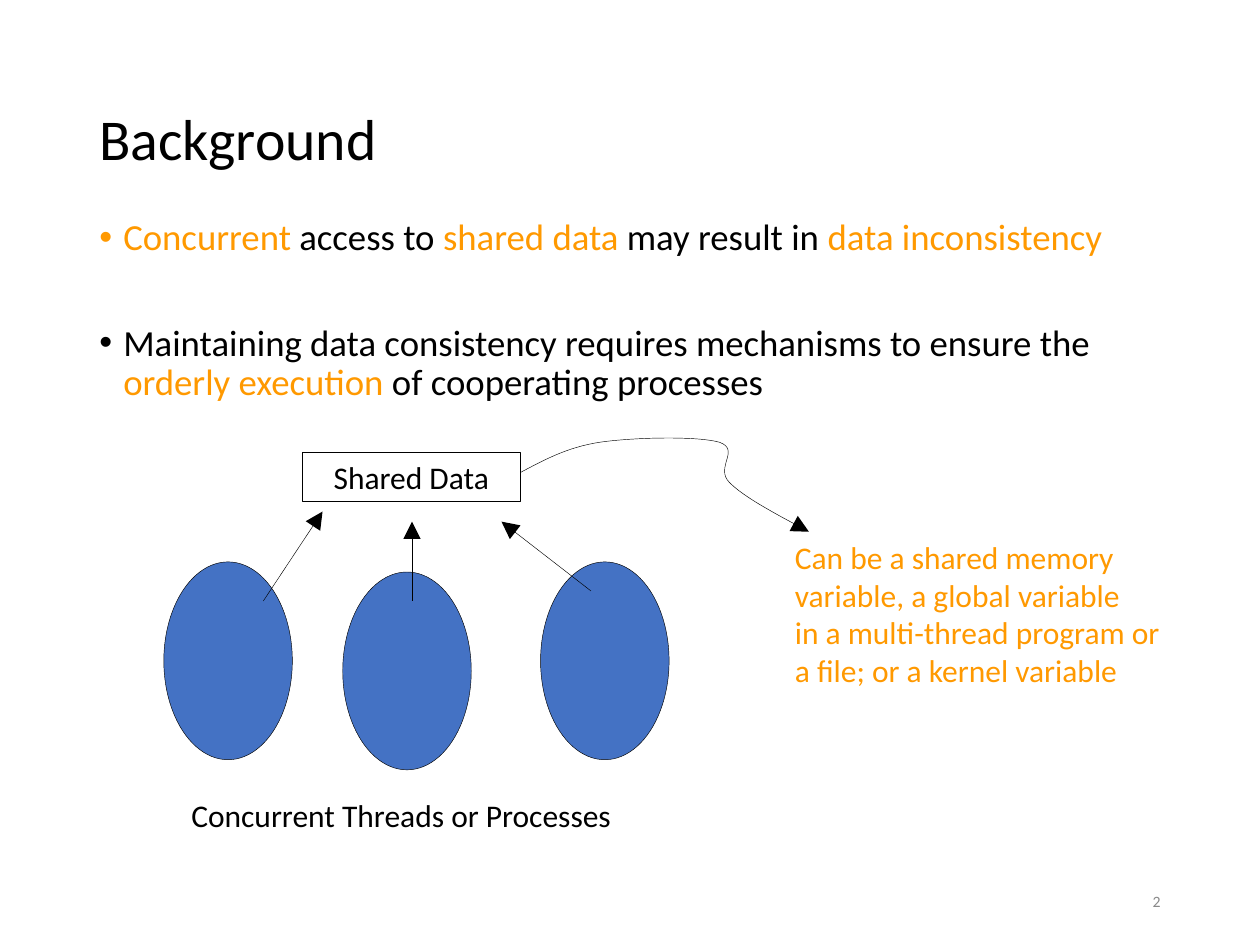
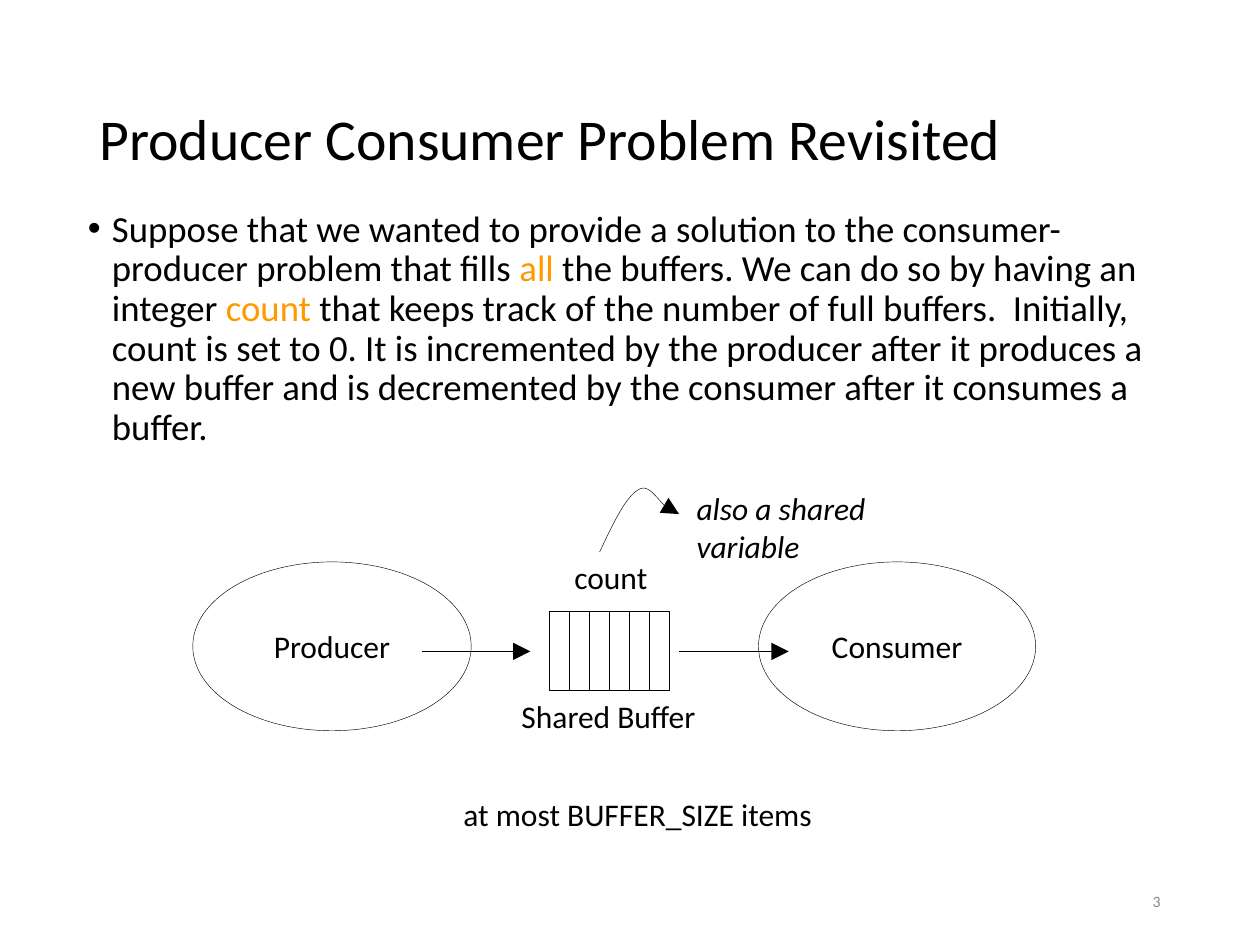
"""Builds two slides on shared data and the producer consumer problem."""
import lxml.etree
import pptx
import pptx.dml.color
import pptx.enum.shapes
import pptx.enum.text
import pptx.oxml.ns
import pptx.util

Inches = pptx.util.Inches
Pt = pptx.util.Pt
RGBColor = pptx.dml.color.RGBColor
Align = pptx.enum.text.PP_ALIGN
Anchor = pptx.enum.text.MSO_ANCHOR
Shape = pptx.enum.shapes.MSO_SHAPE

BLACK = RGBColor(0x00, 0x00, 0x00)
ORANGE = RGBColor(0xFF, 0x99, 0x00)
BLUE = RGBColor(0x44, 0x72, 0xC4)
GRAY = RGBColor(0x89, 0x89, 0x89)

TITLE_BOX = (0.69, 0.4, 8.63, 1.45)
NUMBER_BOX = (7.06, 6.95, 2.25, 0.4)
FIRST_NUMBER = 2
TITLE_FONT = {"size": Pt(33)}
BODY_FONT = {"size": Pt(21)}
LABEL_FONT = {"size": Pt(18)}
NUMBER_FONT = {"size": Pt(9)}
BULLET_SPACING = {"line_spacing": 0.9}
GAP_BETWEEN_BULLETS = Pt(37.5)
CURVE_STEPS = 16

SLIDES = [
    {
        "title": "Background",
        "body_box": (0.69, 1.69, 8.63, 4.76),
        "bullets": [
            [("Concurrent", ORANGE), (" access to ", BLACK), ("shared data", ORANGE),
             (" may result in ", BLACK), ("data inconsistency", ORANGE)],
            [("Maintaining data consistency requires mechanisms to ensure the ", BLACK),
             ("orderly execution", ORANGE), (" of cooperating processes", BLACK)],
        ],
        "shapes": [
            (Shape.OVAL, (1.3, 4.46, 1.02, 1.57), BLUE, ""),
            (Shape.OVAL, (2.72, 4.54, 1.02, 1.57), BLUE, ""),
            (Shape.OVAL, (4.29, 4.46, 1.02, 1.57), BLUE, ""),
            (Shape.RECTANGLE, (2.4, 3.59, 1.73, 0.39), None, "Shared Data"),
        ],
        "arrows": [(2.09, 4.77, 2.56, 4.06), (3.27, 4.77, 3.27, 4.14), (4.69, 4.69, 3.98, 4.14)],
        "curve": [(4.13, 3.75), (4.32, 3.65), (4.5, 3.55), (4.76, 3.51),
                  (5.03, 3.47), (5.54, 3.46), (5.71, 3.51),
                  (5.88, 3.57), (5.67, 3.71), (5.79, 3.83),
                  (5.91, 3.95), (6.16, 4.08), (6.42, 4.22)],
        "labels": [
            ((1.42, 6.27, 3.54, 0.4), "Concurrent Threads or Processes", BLACK, False),
            ((6.21, 4.22, 3.11, 1.3),
             "Can be a shared memory \vvariable, a global variable\n"
             "in a multi-thread program or\va file; or a kernel variable", ORANGE, False),
        ],
    },
    {
        "title": "Producer Consumer Problem Revisited",
        "body_box": (0.6, 1.62, 8.63, 4.76),
        "bullets": [
            [("Suppose that we wanted to provide a solution to the consumer-producer problem "
              "that fills ", BLACK), ("all ", ORANGE),
             ("the buffers. We can do so by having an integer ", BLACK), ("count", ORANGE),
             (" that keeps track of the number of full buffers.  Initially, count is set to 0. "
              "It is incremented by the producer after it produces a new buffer and is "
              "decremented by the consumer after it consumes a buffer.", BLACK)],
        ],
        "buffer": {"box": (4.36, 4.85, 0.95, 0.63), "cells": 6},
        "shapes": [
            (Shape.OVAL, (1.53, 4.46, 2.21, 1.34), None, "Producer"),
            (Shape.OVAL, (6.02, 4.46, 2.2, 1.34), None, "Consumer"),
        ],
        "arrows": [(3.35, 5.17, 4.21, 5.17), (5.39, 5.17, 6.26, 5.17)],
        "curve": [(4.76, 4.38), (4.87, 4.15), (4.97, 3.93), (5.08, 3.88),
                  (5.18, 3.83), (5.27, 4.08), (5.39, 4.08)],
        "labels": [
            ((4.04, 5.48, 1.59, 0.4), "Shared Buffer", BLACK, False),
            ((4.46, 4.38, 0.78, 0.4), "count", BLACK, False),
            ((5.43, 3.83, 2.41, 0.4), "also a shared variable", BLACK, True),
            ((3.58, 6.26, 2.97, 0.4), "at most BUFFER_SIZE items", BLACK, False),
        ],
    },
]


def inches(values):
    return [Inches(value) for value in values]


def set_values(target, values):
    for name, value in values.items():
        setattr(target, name, value)


def add_element(parent, tag, **attributes):
    return lxml.etree.SubElement(parent, pptx.oxml.ns.qn(tag), attributes)


def style_run(run, color, values):
    set_values(run.font, {"name": "Calibri", **values})
    run.font.color.rgb = color


def write_text(frame, text, color, font, alignment=Align.LEFT):
    frame.text = text
    for paragraph in frame.paragraphs:
        paragraph.alignment = alignment
        for run in paragraph.runs:
            style_run(run, color, font)


def add_text(slide, box, text, color, font, alignment=Align.LEFT, **frame_values):
    frame = slide.shapes.add_textbox(*inches(box)).text_frame
    set_values(frame, {"word_wrap": True, **frame_values})
    write_text(frame, text, color, font, alignment)
    return frame


def add_bullets(slide, box, bullets):
    frame = slide.shapes.add_textbox(*inches(box)).text_frame
    frame.word_wrap = True
    for index, pieces in enumerate(bullets):
        paragraph = frame.add_paragraph() if index else frame.paragraphs[0]
        properties = paragraph._p.get_or_add_pPr()
        properties.set("marL", str(Inches(0.19)))
        properties.set("indent", str(-Inches(0.19)))
        bullet_color = add_element(properties, "a:buClr")
        add_element(bullet_color, "a:srgbClr", val=str(pieces[0][1]))
        add_element(properties, "a:buFont", typeface="Arial")
        add_element(properties, "a:buChar", char="•")
        set_values(paragraph, BULLET_SPACING)
        if index:
            paragraph.space_before = GAP_BETWEEN_BULLETS
        for text, color in pieces:
            run = paragraph.add_run()
            run.text = text
            style_run(run, color, BODY_FONT)


def outline(shape):
    shape.line.color.rgb = BLACK
    shape.line.width = Pt(0.25)


def add_arrowhead(shape):
    add_element(shape.line._get_or_add_ln(), "a:tailEnd", type="triangle", w="lg", len="lg")


def add_figure(slide, kind, box, fill, text):
    shape = slide.shapes.add_shape(kind, *inches(box))
    shape.shadow.inherit = False
    if fill is None:
        shape.fill.background()
    else:
        shape.fill.solid()
        shape.fill.fore_color.rgb = fill
    outline(shape)
    if text:
        set_values(shape.text_frame, {"word_wrap": False, "vertical_anchor": Anchor.MIDDLE})
        write_text(shape.text_frame, text, BLACK, LABEL_FONT, Align.CENTER)


def add_buffer(slide, box, cells):
    left, top, width, height = box
    cell_width = width / cells
    for index in range(cells):
        cell_box = (left + index * cell_width, top, cell_width, height)
        add_figure(slide, Shape.RECTANGLE, cell_box, None, "")


def add_arrow(slide, ends):
    kind = pptx.enum.shapes.MSO_CONNECTOR.STRAIGHT
    connector = slide.shapes.add_connector(kind, *inches(ends))
    outline(connector)
    add_arrowhead(connector)
    add_element(connector._element.spPr, "a:effectLst")


def curve_points(controls):
    for start in range(0, len(controls) - 1, 3):
        segment = controls[start:start + 4]
        for step in range(1, CURVE_STEPS + 1):
            t = step / CURVE_STEPS
            weights = ((1 - t) ** 3, 3 * t * (1 - t) ** 2, 3 * t ** 2 * (1 - t), t ** 3)
            yield inches(sum(weight * point[axis] for weight, point in zip(weights, segment))
                         for axis in (0, 1))


def add_curved_arrow(slide, controls):
    builder = slide.shapes.build_freeform(*inches(controls[0]))
    builder.add_line_segments(list(curve_points(controls)), close=False)
    shape = builder.convert_to_shape()
    shape.shadow.inherit = False
    shape.fill.background()
    outline(shape)
    add_arrowhead(shape)


def build_slide(presentation, content, number):
    slide = presentation.slides.add_slide(presentation.slide_layouts[6])
    title = add_text(slide, TITLE_BOX, content["title"], BLACK, TITLE_FONT,
                     vertical_anchor=Anchor.MIDDLE)
    set_values(title.paragraphs[0], BULLET_SPACING)
    add_bullets(slide, content["body_box"], content["bullets"])
    add_text(slide, NUMBER_BOX, str(number), GRAY, NUMBER_FONT, Align.RIGHT,
             vertical_anchor=Anchor.MIDDLE)
    if "buffer" in content:
        add_buffer(slide, **content["buffer"])
    for figure in content["shapes"]:
        add_figure(slide, *figure)
    for ends in content["arrows"]:
        add_arrow(slide, ends)
    add_curved_arrow(slide, content["curve"])
    for box, text, color, italic in content["labels"]:
        add_text(slide, box, text, color, {**LABEL_FONT, "italic": italic}, word_wrap=False,
                 auto_size=pptx.enum.text.MSO_AUTO_SIZE.SHAPE_TO_FIT_TEXT)


def main():
    presentation = pptx.Presentation()
    set_values(presentation, {"slide_width": Inches(10), "slide_height": Inches(7.5)})
    for number, content in enumerate(SLIDES, FIRST_NUMBER):
        build_slide(presentation, content, number)
    presentation.save("out.pptx")


if __name__ == "__main__":
    main()
